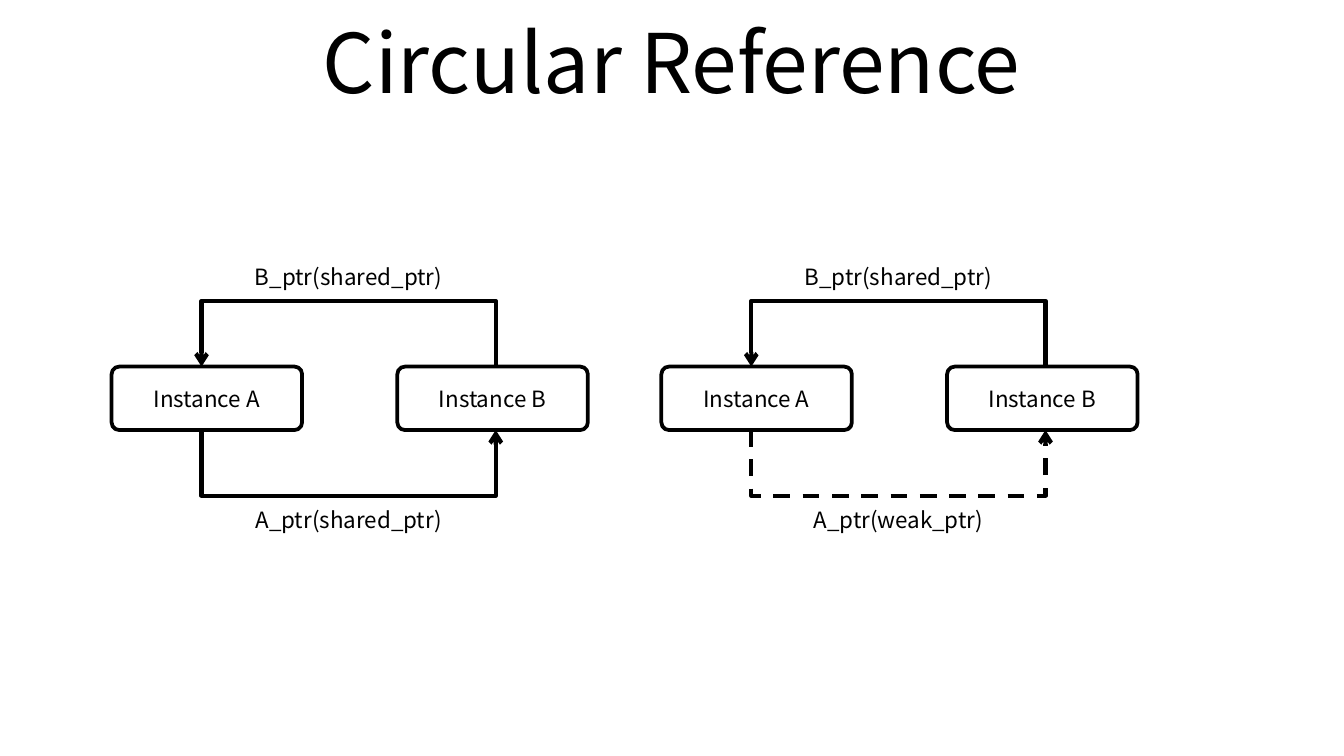
from lxml.etree import SubElement
from pptx import Presentation
from pptx.dml.color import RGBColor
from pptx.enum.dml import MSO_LINE
from pptx.enum.shapes import MSO_SHAPE
from pptx.enum.text import MSO_ANCHOR, PP_ALIGN
from pptx.oxml.ns import qn
from pptx.util import Cm, Pt

BLACK = RGBColor(0, 0, 0)
WHITE = RGBColor(255, 255, 255)
FONT = "Noto Sans CJK KR"


def write(frame, text, size=12, color=BLACK):
    frame.word_wrap = True
    frame.vertical_anchor = MSO_ANCHOR.MIDDLE
    frame.text = text
    paragraph = frame.paragraphs[0]
    paragraph.alignment = PP_ALIGN.CENTER
    paragraph.font.name = FONT
    paragraph.font.size = Pt(size)
    paragraph.font.color.rgb = color


def draw_pointer(points, dash):
    (start_x, start_y), *rest = [(Cm(x), Cm(y)) for x, y in points]
    builder = slide.shapes.build_freeform(start_x, start_y)
    builder.add_line_segments(rest, close=False)
    pointer = builder.convert_to_shape()
    pointer.shadow.inherit = False
    pointer.fill.background()
    pointer.line.color.rgb = BLACK
    pointer.line.width = Pt(2.25)
    pointer.line.dash_style = dash
    SubElement(pointer.line._get_or_add_ln(), qn("a:tailEnd"), type="arrow")


deck = Presentation()
deck.slide_width, deck.slide_height = Cm(25.4), Cm(14.29)
slide = deck.slides.add_slide(deck.slide_layouts[5])

title = slide.shapes.title
title.left, title.top, title.width, title.height = Cm(1.27), Cm(-0.05), Cm(22.86), Cm(2.39)
write(title.text_frame, "Circular Reference", size=44)

box_top, box_width, box_height = 6.93, 3.6, 1.2
box_bottom = box_top + box_height
box_pitch = 5.4
pointer_inset, pointer_width, pointer_depth = 1.7, 5.56, 1.24
label_inset, label_width = 2.36, 4.24

cycles = [
    (2.11, "A_ptr(shared_ptr)", MSO_LINE.SOLID),
    (12.5, "A_ptr(weak_ptr)", MSO_LINE.DASH),
]
for left, a_pointer, a_dash in cycles:
    for column, name in enumerate(["Instance A", "Instance B"]):
        instance = slide.shapes.add_shape(
            MSO_SHAPE.ROUNDED_RECTANGLE,
            Cm(left + column * box_pitch), Cm(box_top), Cm(box_width), Cm(box_height))
        instance.adjustments[0] = 0.12
        instance.shadow.inherit = False
        instance.fill.solid()
        instance.fill.fore_color.rgb = WHITE
        instance.line.color.rgb = BLACK
        instance.line.width = Pt(2)
        write(instance.text_frame, name)

    a_x = left + pointer_inset
    b_x = a_x + pointer_width
    pointers = [
        (a_pointer, 9.22, a_x, b_x, box_bottom, box_bottom + pointer_depth, a_dash),
        ("B_ptr(shared_ptr)", 4.62, b_x, a_x, box_top, box_top - pointer_depth, MSO_LINE.SOLID),
    ]
    for text, label_top, start_x, end_x, edge_y, far_y, dash in pointers:
        draw_pointer(
            [(start_x, edge_y), (start_x, far_y), (end_x, far_y), (end_x, edge_y)], dash)
        label = slide.shapes.add_textbox(
            Cm(left + label_inset), Cm(label_top), Cm(label_width), Cm(box_height))
        write(label.text_frame, text)

deck.save("out.pptx")
